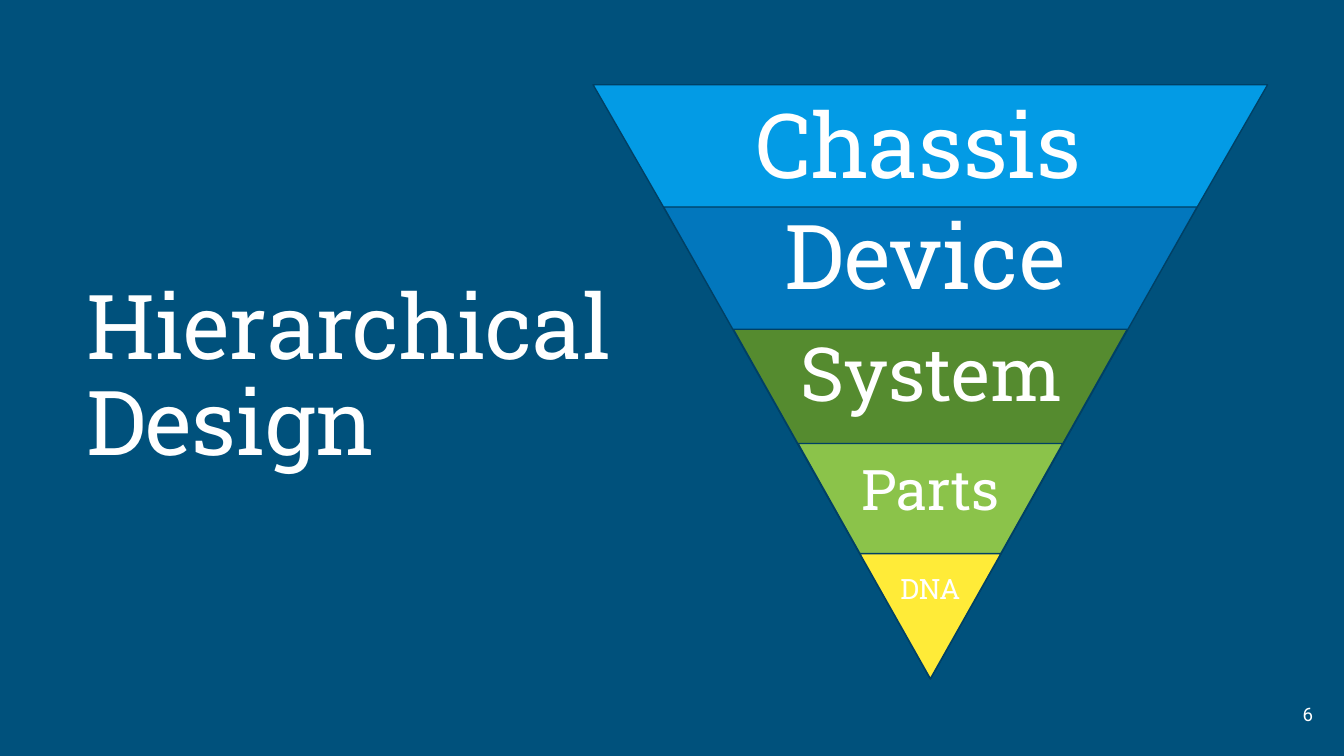
import pptx
import pptx.util
import pptx.dml.color
import pptx.enum.shapes
import pptx.enum.text

Pt = pptx.util.Pt
ALIGN = pptx.enum.text.PP_ALIGN

THEME = {
    "background": "00517C",
    "outline": "004065",
    "text": "FFFFFF",
    "heading_font": "Roboto Slab",
    "body_font": "Roboto",
    "title_size": 48,
    "number_size": 10,
    "inset": 7.2,
    "heading_spacing": 0.9,
}

TITLE = "Hierarchical Design"
TITLE_BOX = (38.9, 41.8, 442.1, 321.8)
PAGE_NUMBER = "6"
NUMBER_BOX = (667.4, 367.2, 43.2, 31)

AXIS = 498.4
LEVELS = [
    {"name": "Chassis", "color": "039BE5", "top": 45.4, "width": 361.4,
     "height": 313.9, "size": 48, "label": (397.4, 31, 202.3, 97.9)},
    {"name": "Device", "color": "0277BD", "top": 110.9, "width": 285.8,
     "height": 252.7, "size": 48, "label": (413.3, 90.7, 202.3, 97.9)},
    {"name": "System", "color": "558B2F", "top": 176.4, "width": 211,
     "height": 187.2, "size": 40, "label": (421.9, 153.4, 202.3, 97.9)},
    {"name": "Parts", "color": "8BC34A", "top": 237.6, "width": 141.8,
     "height": 126, "size": 30, "label": (454.3, 214.6, 202.3, 97.9)},
    {"name": "DNA", "color": "FFEB38", "top": 296.6, "width": 75.6,
     "height": 67, "size": 15, "label": (475.2, 290.9, 77.8, 51.1)},
]


def rgb(value):
    return pptx.dml.color.RGBColor.from_string(value)


def write(box, place, text, size, font, align=ALIGN.LEFT, spacing=1.0):
    box.left, box.top, box.width, box.height = map(Pt, place)
    frame = box.text_frame
    frame.text = text
    frame.word_wrap = True
    frame.auto_size = pptx.enum.text.MSO_AUTO_SIZE.NONE
    frame.vertical_anchor = pptx.enum.text.MSO_ANCHOR.MIDDLE
    frame.margin_left = frame.margin_right = Pt(THEME["inset"])
    frame.margin_top = frame.margin_bottom = Pt(THEME["inset"])
    paragraph = frame.paragraphs[0]
    paragraph.alignment = align
    paragraph.line_spacing = spacing
    run = paragraph.runs[0]
    run.font.name = font
    run.font.size = Pt(size)
    run.font.color.rgb = rgb(THEME["text"])


def add_triangle(slide, level):
    triangle = slide.shapes.add_shape(
        pptx.enum.shapes.MSO_SHAPE.ISOSCELES_TRIANGLE,
        Pt(AXIS - level["width"] / 2), Pt(level["top"]),
        Pt(level["width"]), Pt(level["height"]))
    triangle.rotation = 180
    triangle.shadow.inherit = False
    triangle.fill.solid()
    triangle.fill.fore_color.rgb = rgb(level["color"])
    triangle.line.color.rgb = rgb(THEME["outline"])
    triangle.line.width = Pt(0.75)


def add_text(slide, place, *content, **layout):
    box = slide.shapes.add_textbox(*map(Pt, place))
    write(box, place, *content, **layout)


def main():
    deck = pptx.Presentation()
    deck.slide_width, deck.slide_height = Pt(720), Pt(405)
    slide = deck.slides.add_slide(deck.slide_layouts[5])
    slide.background.fill.solid()
    slide.background.fill.fore_color.rgb = rgb(THEME["background"])

    heading = THEME["heading_font"]
    spacing = THEME["heading_spacing"]
    write(slide.shapes.title, TITLE_BOX, TITLE, THEME["title_size"], heading,
          spacing=spacing)
    for level in LEVELS:
        add_triangle(slide, level)
    add_text(slide, NUMBER_BOX, PAGE_NUMBER, THEME["number_size"],
             THEME["body_font"], align=ALIGN.RIGHT)
    for level in LEVELS:
        add_text(slide, level["label"], level["name"], level["size"], heading,
                 spacing=spacing)
    deck.save("out.pptx")


if __name__ == "__main__":
    main()
